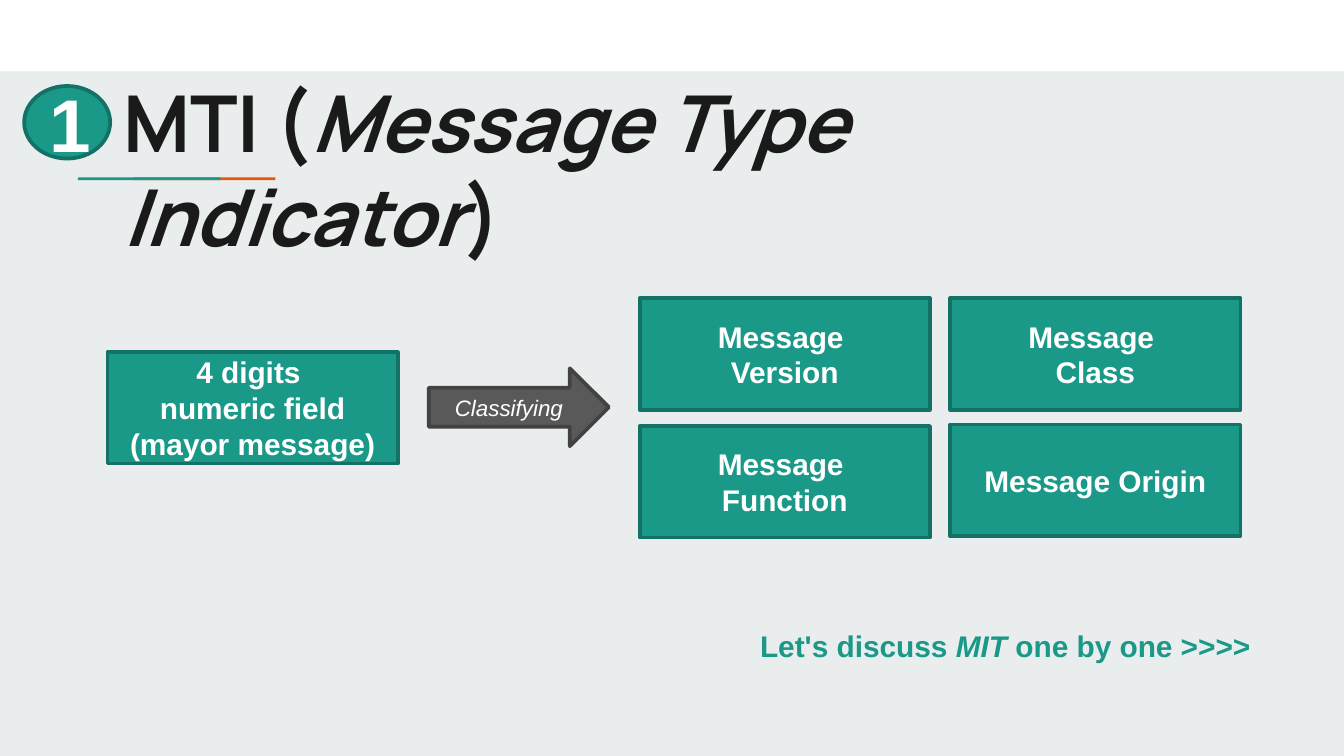
from pptx import Presentation
from pptx.dml.color import RGBColor
from pptx.enum.shapes import MSO_SHAPE as Shape
from pptx.enum.text import MSO_ANCHOR as Anchor, PP_ALIGN as Align
from pptx.util import Inches, Pt

COLORS = {
    "back": "E9EDEE", "white": "FFFFFF", "ink": "1A1A1A",
    "teal": "1A9988", "edge": "137165", "orange": "EB5600",
    "gray": "595959", "dark": "424242",
}

# Each run is (text, italic)
TITLE = [("MTI (", False), ("Message Type Indicator", True), (")", False)]
CLOSING = [("Let's discuss ", False), ("MIT", True), (" one by one >>>>", False)]

FIELD = "4 digits \nnumeric field\n(mayor message)"
PARTS = [
    ["Message \nVersion", "Message \nClass"],
    ["Message \nFunction", "Message Origin"],
]
BOX = (2.16, 0.83)
COLS = (4.76, 7.07)
ROWS = [(2.22, 2.22), (3.17, 3.16)]
STRIPES = [("orange", 1.52), ("teal", 1.11)]  # colour, centre


def color(name):
    return RGBColor.from_string(COLORS[name])


def style(run, size, ink, bold=True, italic=False, face="Arial"):
    font = run.font
    font.name, font.size = face, Pt(size)
    font.bold, font.italic = bold, italic
    font.color.rgb = color(ink)


def draw(slide, kind, at, fill, edge=None):
    shape = slide.shapes.add_shape(kind, *map(Inches, at))
    shape.shadow.inherit = False
    shape.fill.solid()
    shape.fill.fore_color.rgb = color(fill)
    if edge:
        shape.line.color.rgb = color(edge)
        shape.line.width = Pt(2)
    else:
        shape.line.fill.background()
    return shape


def label(shape, text, size, bold=True, italic=False):
    frame = shape.text_frame
    frame.text = text
    frame.vertical_anchor = Anchor.MIDDLE
    for para in frame.paragraphs:
        para.alignment = Align.CENTER
        for run in para.runs:
            style(run, size, "white", bold, italic)


def write(slide, at, runs, size, ink, face="Arial", align=Align.LEFT):
    """Add a text box holding one paragraph of mixed runs."""
    frame = slide.shapes.add_textbox(*map(Inches, at)).text_frame
    frame.word_wrap = True
    para = frame.paragraphs[0]
    para.alignment = align
    for text, italic in runs:
        run = para.add_run()
        run.text = text
        style(run, size, ink, italic=italic, face=face)
    return frame


def main():
    deck = Presentation()
    deck.slide_width, deck.slide_height = Inches(10), Inches(10 * 9 / 16)
    slide = deck.slides.add_slide(deck.slide_layouts[6])
    slide.background.fill.solid()
    slide.background.fill.fore_color.rgb = color("back")

    draw(slide, Shape.RECTANGLE, (0, 0, 10, 0.53), "white")
    for fill, mid in STRIPES:
        draw(slide, Shape.RECTANGLE, (mid - 0.53, 1.32, 1.06, 0.02), fill)

    field = draw(slide, Shape.RECTANGLE, (0.8, 2.62, *BOX), "teal", "edge")
    label(field, FIELD, 16)
    arrow = draw(slide, Shape.RIGHT_ARROW, (3.19, 2.74, 1.34, 0.58), "gray", "dark")
    label(arrow, "Classifying", 12, bold=False, italic=True)

    for names, tops in zip(PARTS, ROWS):
        for name, left, top in zip(names, COLS, tops):
            box = draw(slide, Shape.RECTANGLE, (left, top, *BOX), "teal", "edge")
            label(box, name, 16)

    title = write(slide, (0.82, 0.45, 8.41, 0.93), TITLE, 42, "ink", "Manrope")
    title.margin_top = title.margin_bottom = Inches(0.1)
    write(slide, (5.47, 4.62, 4.02, 0.37), CLOSING, 16, "teal", align=Align.CENTER)

    badge = draw(slide, Shape.OVAL, (0.18, 0.64, 0.64, 0.54), "teal", "edge")
    label(badge, "1", 40)

    deck.save("out.pptx")


if __name__ == "__main__":
    main()
